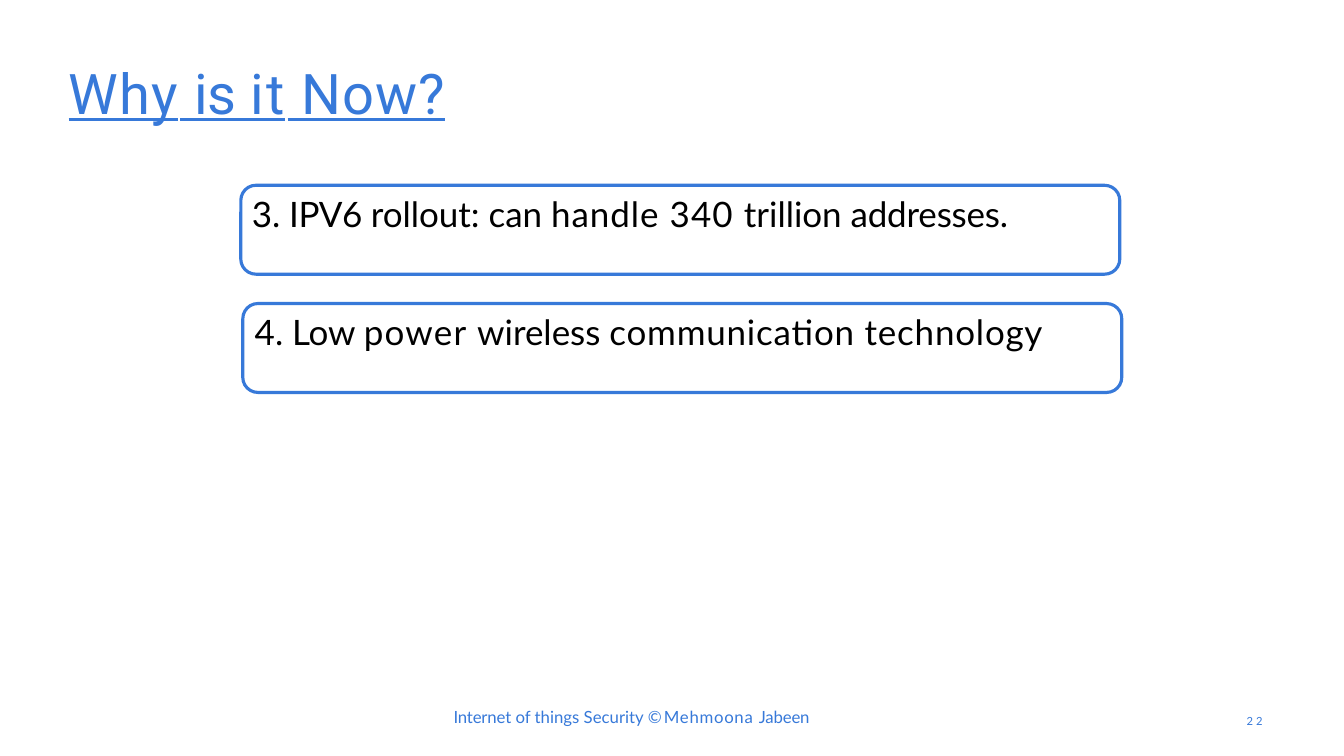
from lxml.etree import SubElement
from pptx import Presentation
from pptx.dml.color import RGBColor
from pptx.enum.shapes import MSO_SHAPE
from pptx.oxml.ns import qn
from pptx.util import Cm, Pt

COLORS = {"blue": "3779D9", "black": "000000"}

TITLE = [("Why", 1.1), (" ", -0.1), ("is", 0), (" ", -0.1), ("it", 1.9), (" ", 0), ("Now?", 0.8)]
REASONS = [
    [("IPV6 ", -0.3), ("rollout: can ", 0), ("handle ", 0.7), ("340 ", 0.8),
     ("trillion ", 0), ("addresses.", -0.1)],
    [("Low ", 0), ("power ", 0.9), ("wireless ", 0), ("communication technology", 0.6)],
]
FOOTER = [("Internet ", -0.1), ("of things Security ", 0), ("© ", -1.6),
          ("Mehmoona ", 0.5), ("Jabeen", -0.1)]
PAGE_NUMBER = [("2 ", 0), ("2", -0.5)]

FIRST_NUMBER = 3
REASON_INDENTS = [0.97, 1.04]
REASON_HANGING = 0.94
REASON_GAP = 54.2
FRAME_POSITIONS = [(6.07, 4.67), (6.12, 7.65)]
FRAME_SIZE = (22.15, 2.24)
FRAME_ROUNDING = 0.17

TEXT_BOXES = [
    ((1.73, 1.42, 22.63, 1.75), [TITLE], "blue",
     {"name": "Roboto", "size": Pt(40), "underline": True}),
    ((6.32, 4.8, 20.12, 4.09), REASONS, "black", {"name": "Lato", "size": Pt(25)}),
    ((11.43, 17.75, 9.32, 0.58), [FOOTER], "blue", {"name": "Lato", "size": Pt(12)}),
    ((31.42, 17.96, 0.66, 0.41), [PAGE_NUMBER], "blue", {"name": "Lato", "size": Pt(8)}),
]
FRAME_FORMAT = {"margin_left": 0, "margin_right": 0, "margin_top": Cm(0.05),
                "margin_bottom": 0, "word_wrap": True}


def set_attributes(target, values):
    for name, value in values.items():
        setattr(target, name, value)


def add_frame(slide, position):
    shape = slide.shapes.add_shape(
        MSO_SHAPE.ROUNDED_RECTANGLE, *map(Cm, position + FRAME_SIZE))
    shape.adjustments[0] = FRAME_ROUNDING
    shape.shadow.inherit = False
    shape.fill.background()
    shape.line.color.rgb = RGBColor.from_string(COLORS["blue"])
    shape.line.width = Pt(2.25)


def number_paragraph(paragraph, indent):
    properties = paragraph._p.get_or_add_pPr()
    properties.set("marL", str(Cm(indent)))
    properties.set("indent", str(-Cm(REASON_HANGING)))
    SubElement(properties, qn("a:buAutoNum"), type="arabicPeriod", startAt=str(FIRST_NUMBER))


def add_text(slide, place, paragraphs, color, font_format):
    text_frame = slide.shapes.add_textbox(*map(Cm, place)).text_frame
    set_attributes(text_frame, FRAME_FORMAT)
    for index, pieces in enumerate(paragraphs):
        paragraph = text_frame.add_paragraph() if index else text_frame.paragraphs[0]
        if paragraphs is REASONS:
            number_paragraph(paragraph, REASON_INDENTS[index])
        if index:
            paragraph.space_before = Pt(REASON_GAP)
        for text, spacing in pieces:
            run = paragraph.add_run()
            run.text = text
            set_attributes(run.font, font_format)
            run.font.color.rgb = RGBColor.from_string(COLORS[color])
            run._r.get_or_add_rPr().set("spc", str(round(spacing * 100)))


def main():
    presentation = Presentation()
    set_attributes(presentation, {"slide_width": Cm(33.87), "slide_height": Cm(19.05)})
    slide = presentation.slides.add_slide(presentation.slide_layouts[6])
    for position in FRAME_POSITIONS:
        add_frame(slide, position)
    for text_box in TEXT_BOXES:
        add_text(slide, *text_box)
    presentation.save("out.pptx")


if __name__ == "__main__":
    main()
